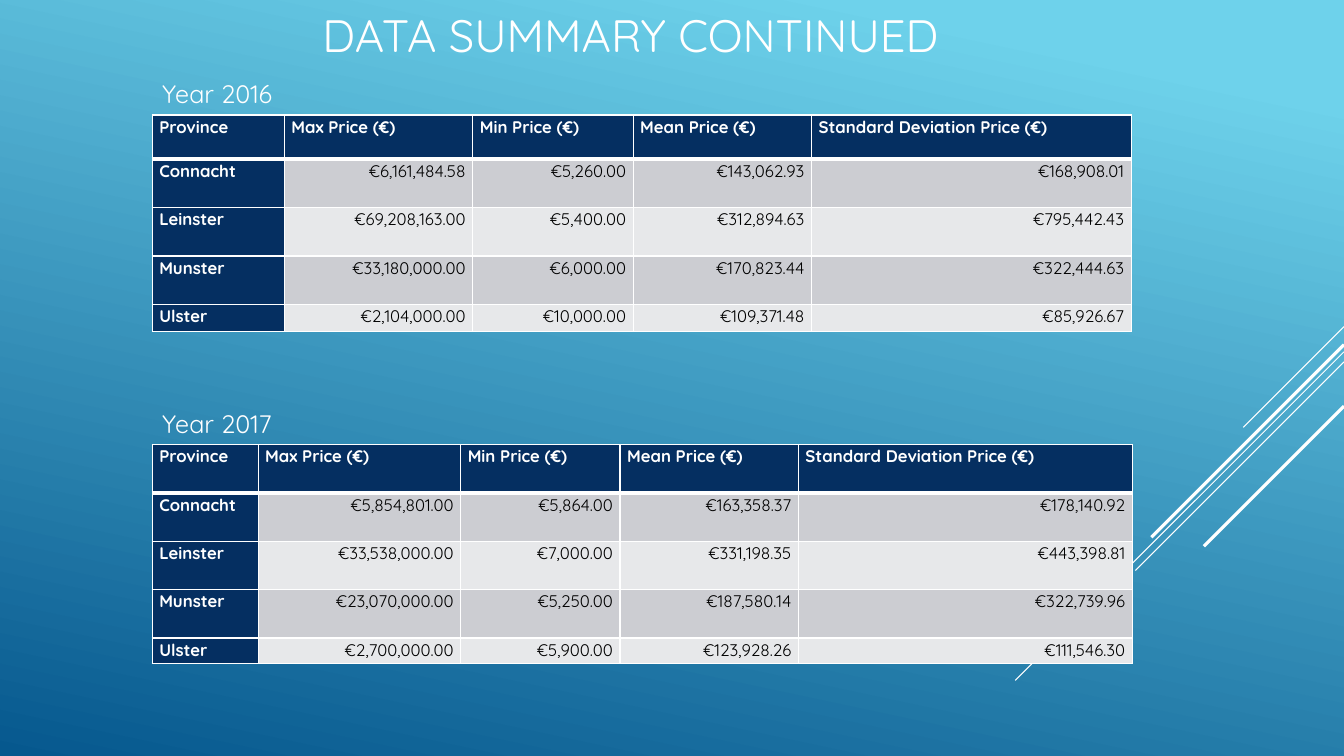
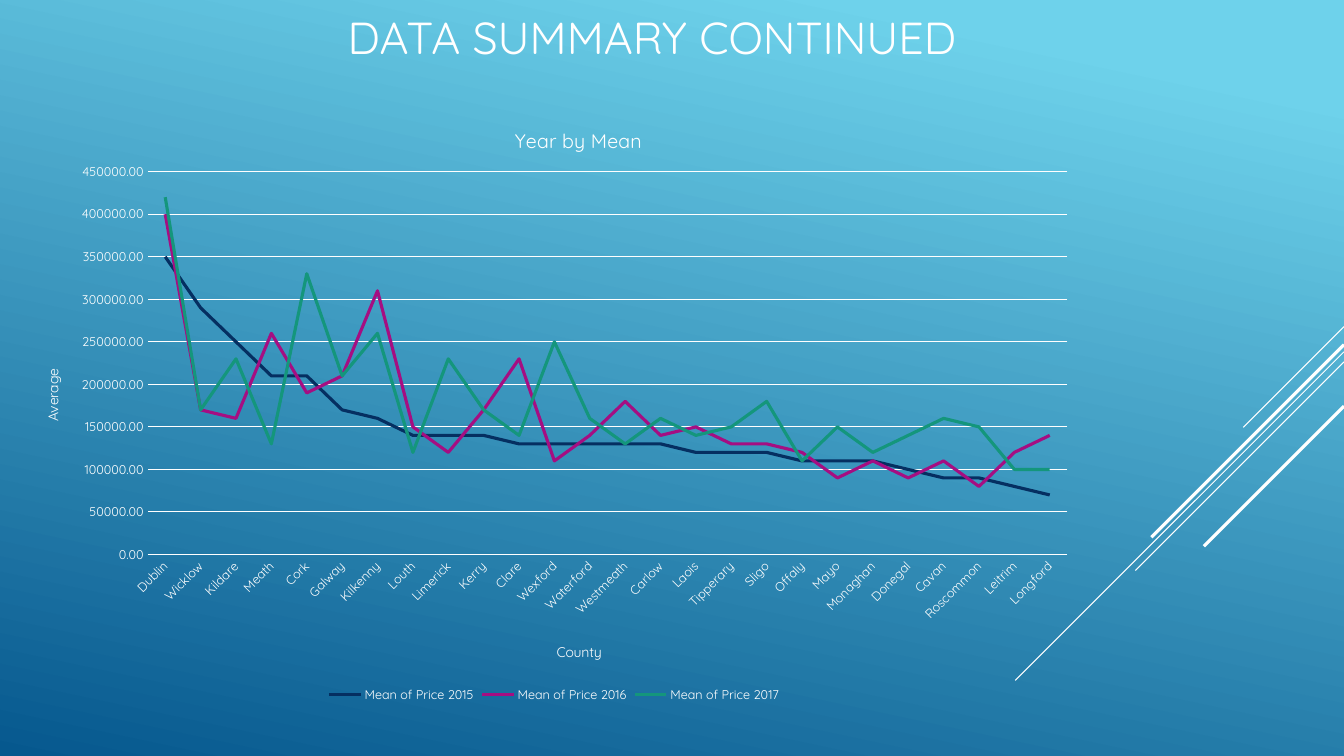
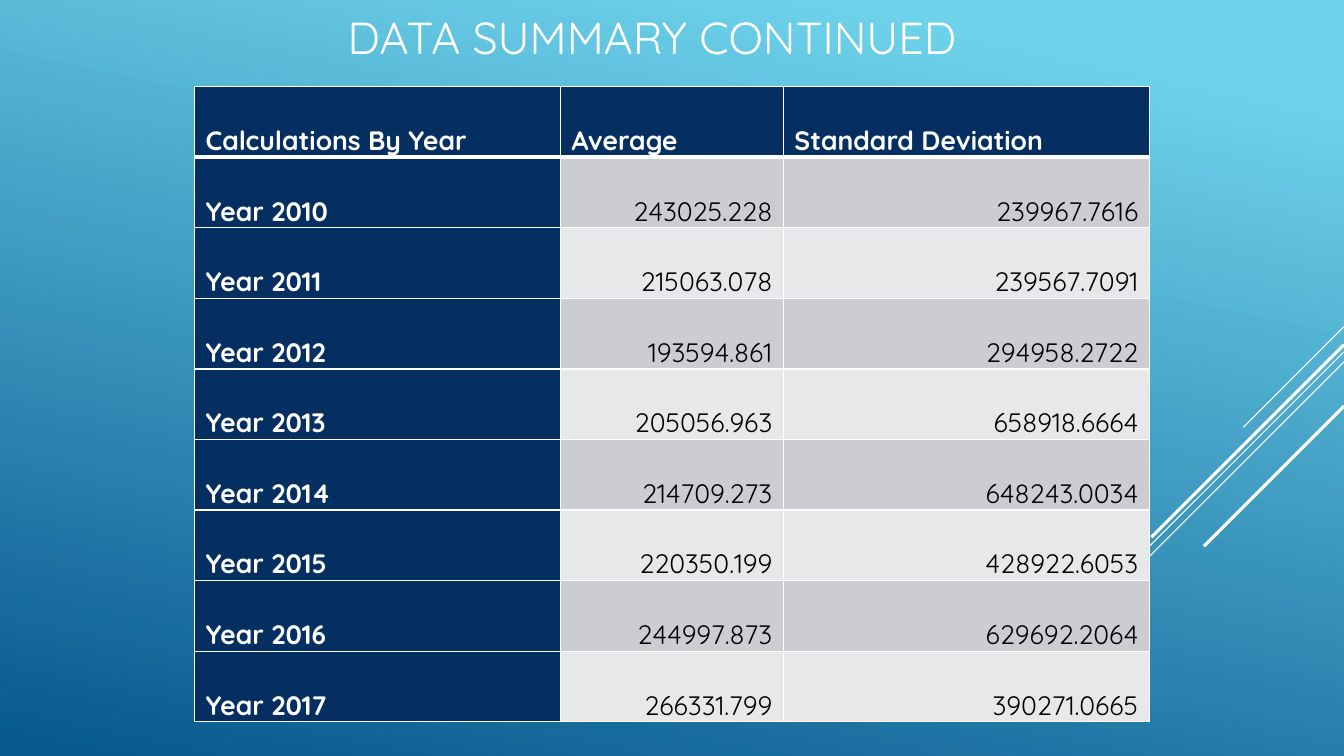
from pptx import Presentation
from pptx.chart.data import CategoryChartData
from pptx.dml.color import RGBColor
from pptx.enum.chart import XL_CHART_TYPE, XL_LEGEND_POSITION, XL_TICK_MARK
from pptx.enum.shapes import MSO_CONNECTOR
from pptx.enum.text import MSO_ANCHOR, PP_ALIGN
from pptx.oxml import parse_xml
from pptx.oxml.ns import nsdecls, qn
from pptx.oxml.xmlchemy import OxmlElement
from pptx.util import Inches, Pt

FONT = "Quicksand"
COLORS = {
    "white": "FFFFFF", "black": "000000", "navy": "052F61",
    "band_dark": "CCCDD2", "band_light": "E7E8EA",
    "sky": "6ED2EB", "deep": "06588E",
    "magenta": "A50E82", "green": "14967C",
}
# Diagonal rays: start y on the right edge, horizontal and vertical run, weight
RAYS = [(3.24, 1.0, 0.75), (3.49, 3.26, 0.75), (3.59, 2.07, 0.75),
        (3.42, 1.91, 2.25), (4.03, 1.39, 2.25)]
TITLE = "DATA SUMMARY CONTINUED"

PRICE_HEADER = ["Province", "Max Price (€)", "Min Price (€)", "Mean Price (€)",
                "Standard Deviation Price (€)"]
PRICES_2016 = [
    PRICE_HEADER,
    ["Connacht", "€6,161,484.58", "€5,260.00", "€143,062.93", "€168,908.01"],
    ["Leinster", "€69,208,163.00", "€5,400.00", "€312,894.63", "€795,442.43"],
    ["Munster", "€33,180,000.00", "€6,000.00", "€170,823.44", "€322,444.63"],
    ["Ulster", "€2,104,000.00", "€10,000.00", "€109,371.48", "€85,926.67"],
]
PRICES_2017 = [
    PRICE_HEADER,
    ["Connacht", "€5,854,801.00", "€5,864.00", "€163,358.37", "€178,140.92"],
    ["Leinster", "€33,538,000.00", "€7,000.00", "€331,198.35", "€443,398.81"],
    ["Munster", "€23,070,000.00", "€5,250.00", "€187,580.14", "€322,739.96"],
    ["Ulster", "€2,700,000.00", "€5,900.00", "€123,928.26", "€111,546.30"],
]
YEARLY = [
    ["Calculations By Year", "Average", "Standard Deviation"],
    ["Year 2010", "243025.228", "239967.7616"],
    ["Year 2011", "215063.078", "239567.7091"],
    ["Year 2012", "193594.861", "294958.2722"],
    ["Year 2013", "205056.963", "658918.6664"],
    ["Year 2014", "214709.273", "648243.0034"],
    ["Year 2015", "220350.199", "428922.6053"],
    ["Year 2016", "244997.873", "629692.2064"],
    ["Year 2017", "266331.799", "390271.0665"],
]
COUNTIES = [
    "Dublin", "Wicklow", "Kildare", "Meath", "Cork", "Galway", "Kilkenny",
    "Louth", "Limerick", "Kerry", "Clare", "Wexford", "Waterford", "Westmeath",
    "Carlow", "Laois", "Tipperary", "Sligo", "Offaly", "Mayo", "Monaghan",
    "Donegal", "Cavan", "Roscommon", "Leitrim", "Longford",
]
# Mean prices in units of 10,000
MEAN_UNIT = 10000
MEANS = [
    ("Mean of Price 2015", "navy",
     [35, 29, 25, 21, 21, 17, 16, 14, 14, 14, 13, 13, 13, 13, 13, 12, 12, 12,
      11, 11, 11, 10, 9, 9, 8, 7]),
    ("Mean of Price 2016", "magenta",
     [40, 17, 16, 26, 19, 21, 31, 15, 12, 17, 23, 11, 14, 18, 14, 15, 13, 13,
      12, 9, 11, 9, 11, 8, 12, 14]),
    ("Mean of Price 2017", "green",
     [42, 17, 23, 13, 33, 21, 26, 12, 23, 17, 14, 25, 16, 13, 16, 14, 15, 18,
      11, 15, 12, 14, 16, 15, 10, 10]),
]


def rgb(name):
    return RGBColor.from_string(COLORS[name])


def place(parent, index, inner=False, **fractions):
    """Give a chart part a manual layout in fractions of the chart."""
    old = parent.find(qn("c:layout"))
    if old is not None:
        parent.remove(old)
    target = '<c:layoutTarget val="inner"/>' if inner else ""
    modes = '<c:xMode val="edge"/><c:yMode val="edge"/>'
    values = "".join(f'<c:{key} val="{value}"/>' for key, value in fractions.items())
    parent.insert(index, parse_xml(
        f'<c:layout {nsdecls("c")}><c:manualLayout>{target}{modes}{values}'
        '</c:manualLayout></c:layout>'))


class SummaryDeck:
    def __init__(self):
        self.deck = Presentation()
        self.deck.slide_width = Inches(13.33)
        self.deck.slide_height = Inches(7.5)
        self.page = None

    def style(self, font, size, color="white", bold=False):
        font.name = FONT
        font.size = Pt(size)
        font.bold = bold
        font.color.rgb = rgb(color)

    def add_page(self, left, width, height, size):
        """Start a slide with the gradient, the rays and the title."""
        self.page = self.deck.slides.add_slide(self.deck.slide_layouts[6])
        fill = self.page.background.fill
        fill.gradient()
        fill.gradient_angle = 360 - 102
        for stop, position, color in zip(fill.gradient_stops, (0.1, 1), ("sky", "deep")):
            stop.position = position
            stop.color.rgb = rgb(color)
        for top, run, weight in RAYS:
            self.line(13.33, top, 13.33 - run, top + run, weight)
        self.text(TITLE, left, 0, width, height, size, MSO_ANCHOR.MIDDLE)

    def line(self, x1, y1, x2, y2, weight):
        ray = self.page.shapes.add_connector(
            MSO_CONNECTOR.STRAIGHT, Inches(x1), Inches(y1), Inches(x2), Inches(y2))
        ray.line.color.rgb = rgb("white")
        ray.line.width = Pt(weight)
        ray.element.spPr.append(OxmlElement("a:effectLst"))

    def text(self, words, left, top, width, height, size, anchor=MSO_ANCHOR.TOP, wrap=True):
        box = self.page.shapes.add_textbox(
            Inches(left), Inches(top), Inches(width), Inches(height))
        frame = box.text_frame
        frame.word_wrap = wrap
        frame.vertical_anchor = anchor
        para = frame.paragraphs[0]
        para.text = words
        self.style(para.font, size)

    def table(self, rows, left, top, widths, heights, size, margin, anchor=MSO_ANCHOR.TOP):
        table = self.page.shapes.add_table(
            len(rows), len(widths), Inches(left), Inches(top),
            Inches(sum(widths)), Inches(sum(heights))).table
        table.horz_banding = False
        for column, width in zip(table.columns, widths):
            column.width = Inches(width)
        for row, height in zip(table.rows, heights):
            row.height = Inches(height)
        for r, row in enumerate(rows):
            for c, words in enumerate(row):
                self.cell(table.cell(r, c), words, r, c, size, margin, anchor)

    def cell(self, cell, words, r, c, size, margin, anchor):
        heading = r == 0 or c == 0
        band = "band_dark" if r % 2 else "band_light"
        cell.fill.solid()
        cell.fill.fore_color.rgb = rgb("navy" if heading else band)
        cell.margin_left = cell.margin_right = Inches(margin)
        cell.margin_top = cell.margin_bottom = 0
        cell.vertical_anchor = anchor
        para = cell.text_frame.paragraphs[0]
        para.text = words
        para.line_spacing = 1.07
        para.alignment = PP_ALIGN.LEFT if heading else PP_ALIGN.RIGHT
        self.style(para.font, size, "white" if heading else "black", heading)
        # The rule under the header row is heavier, on both sides of the edge
        weights = {"L": 1, "R": 1, "T": 3 if r == 1 else 1, "B": 3 if r == 0 else 1}
        for index, (side, weight) in enumerate(weights.items()):
            cell._tc.get_or_add_tcPr().insert(index, parse_xml(
                f'<a:ln{side} {nsdecls("a")} w="{Pt(weight)}"><a:solidFill>'
                f'<a:srgbClr val="{COLORS["white"]}"/></a:solidFill></a:ln{side}>'))

    def chart_title(self, title, words, size, x, y, rotation=0):
        para = title.text_frame.paragraphs[0]
        para.text = words
        self.style(para.font, size)
        title.element.find(".//" + qn("a:bodyPr")).set("rot", str(rotation * 60000))
        place(title.element, 1, x=x, y=y)

    def line_chart(self, left, top, width, height):
        data = CategoryChartData(number_format="0.00")
        data.categories = COUNTIES
        for name, _, means in MEANS:
            data.add_series(name, [mean * MEAN_UNIT for mean in means])
        chart = self.page.shapes.add_chart(
            XL_CHART_TYPE.LINE, Inches(left), Inches(top),
            Inches(width), Inches(height), data).chart
        self.style(chart.font, 10)
        chart.plots[0].vary_by_categories = False
        for series, (_, color, _) in zip(chart.plots[0].series, MEANS):
            series.smooth = False
            series.format.line.color.rgb = rgb(color)
            series.format.line.width = Pt(2.25)

        # Axes and grid
        counties, prices = chart.category_axis, chart.value_axis
        for axis in (counties, prices):
            axis.major_tick_mark = axis.minor_tick_mark = XL_TICK_MARK.NONE
            self.style(axis.tick_labels.font, 9)
        prices.minimum_scale, prices.maximum_scale = 0, 450000
        prices.major_unit = 50000
        prices.tick_labels.number_format = "0.00"
        prices.tick_labels.number_format_is_linked = False
        prices.format.line.fill.background()
        for rule in (counties.format.line, prices.major_gridlines.format.line):
            rule.color.rgb = rgb("white")
            rule.width = Pt(0.75)
        labels = chart.element.find(f".//{qn('c:catAx')}/{qn('c:txPr')}/{qn('a:bodyPr')}")
        labels.set("rot", str(-45 * 60000))

        # Titles, plot area and legend
        chart.has_title = True
        self.chart_title(chart.chart_title, "Year by Mean", 14, 0.46, 0.04)
        self.chart_title(counties.axis_title, "County", 10, 0.5, 0.89)
        self.chart_title(prices.axis_title, "Average", 10, 0.02, 0.44, -90)
        place(chart.element.find(".//" + qn("c:plotArea")), 0, inner=True,
              x=0.12, y=0.12, w=0.86, h=0.63)
        chart.has_legend = True
        chart.legend.position = XL_LEGEND_POSITION.BOTTOM
        chart.legend.include_in_layout = False
        self.style(chart.legend.font, 9)


def main():
    summary = SummaryDeck()

    # Prices by province
    summary.add_page(3.1, 6.52, 0.68, 32.4)
    summary.text("Year 2016", 1.51, 0.73, 1.39, 0.4, 18, wrap=False)
    summary.table(PRICES_2016, 1.51, 1.14, [1.31, 1.87, 1.59, 1.77, 3.17],
                  [0.44] + [0.48] * 3 + [0.27], 12, 0.07)
    summary.text("Year 2017", 1.51, 4, 1.39, 0.4, 18, wrap=False)
    summary.table(PRICES_2017, 1.51, 4.41, [1.05, 2.01, 1.58, 1.77, 3.31],
                  [0.48] * 4 + [0.25], 12, 0.07)

    # Mean price by county
    summary.add_page(3.35, 6.63, 0.73, 32)
    summary.line_chart(0.19, 0.98, 10.61, 6.03)

    # Average and deviation by year
    summary.add_page(3.35, 6.63, 0.73, 32)
    summary.table(YEARLY, 1.93, 0.86, [3.63, 2.21, 3.63], [0.7] * len(YEARLY),
                  19, 0.11, MSO_ANCHOR.BOTTOM)

    summary.deck.save("out.pptx")


if __name__ == "__main__":
    main()
